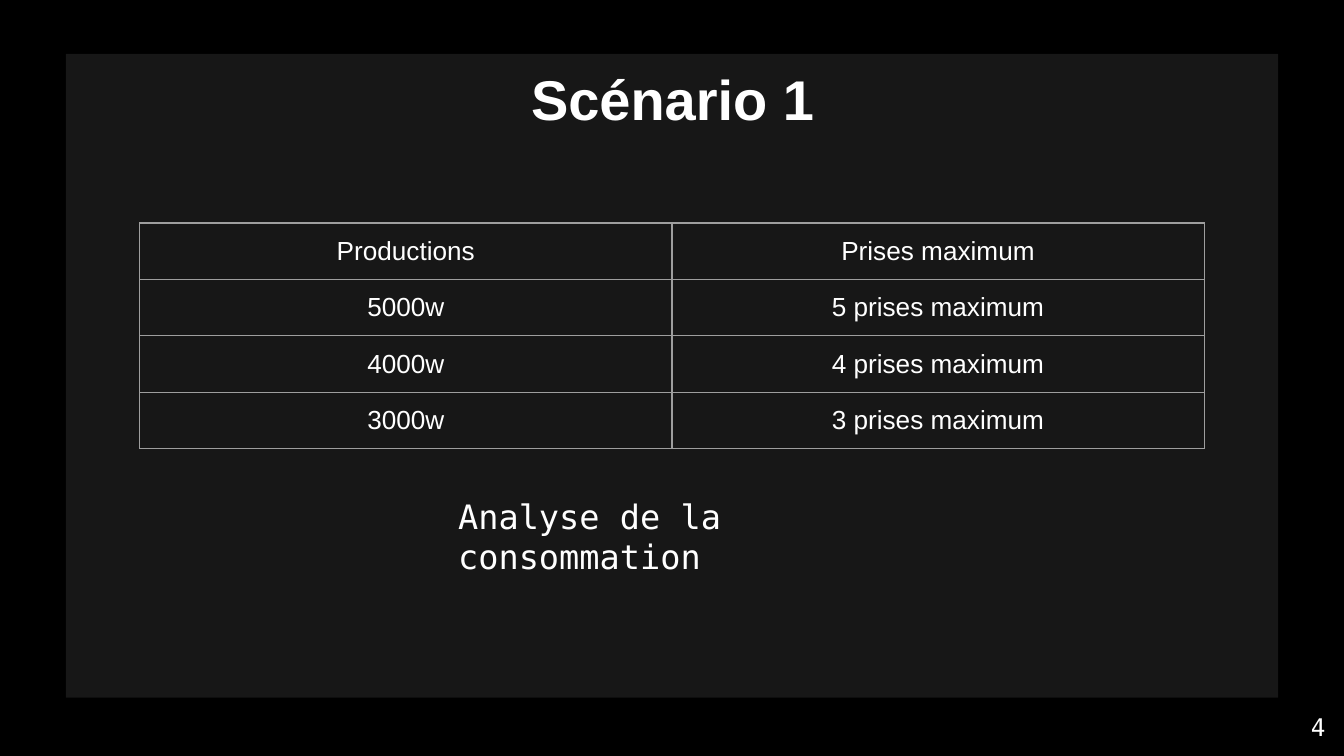
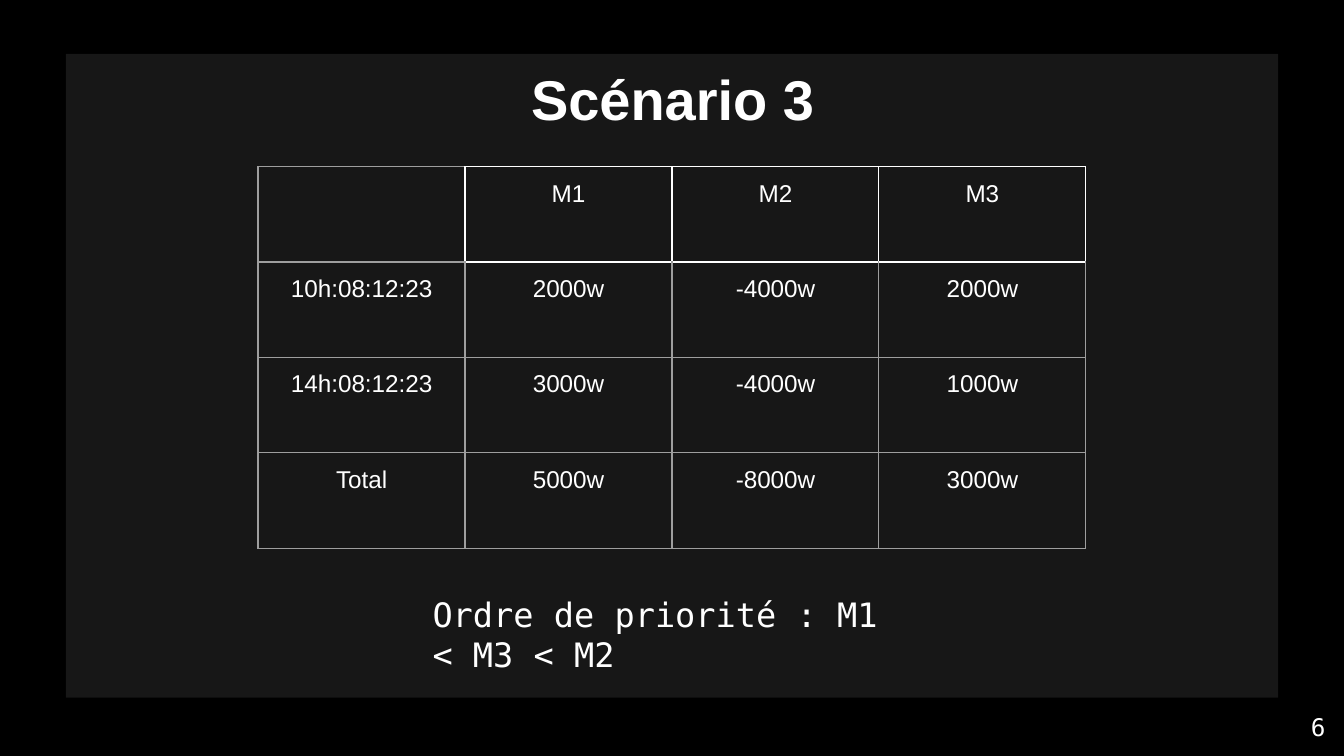
from lxml import etree
from pptx import Presentation
from pptx.dml.color import RGBColor
from pptx.enum.shapes import MSO_SHAPE
from pptx.enum.text import MSO_ANCHOR, MSO_AUTO_SIZE, PP_ALIGN
from pptx.oxml.ns import qn
from pptx.util import Inches, Pt

LEFT, CENTER, RIGHT = PP_ALIGN.LEFT, PP_ALIGN.CENTER, PP_ALIGN.RIGHT
TOP, MIDDLE = MSO_ANCHOR.TOP, MSO_ANCHOR.MIDDLE
RECTANGLE = MSO_SHAPE.RECTANGLE
NO_AUTOFIT = MSO_AUTO_SIZE.NONE

BLACK, PANEL, WHITE, GREY = "000000", "171717", "FFFFFF", "9E9E9E"
SANS, MONO = "Arial", "DejaVu Sans Mono"
INSET = Inches(0.1)

SCENARIOS = [
    {
        "title": "Scénario 1", "number": "4",
        "rows": [["Productions", "Prises maximum"],
                 ["5000w", "5 prises maximum"],
                 ["4000w", "4 prises maximum"],
                 ["3000w", "3 prises maximum"]],
        "corner": (1.04, 1.66), "cell": (3.96, 0.42),
        "size": 14, "heading_border": GREY,
        "conclusion": "Analyse de la consommation",
        "conclusion_at": (3.31, 3.59, 3.38, 0.55),
    },
    {
        "title": "Scénario 3", "number": "6",
        "rows": [["", "M1", "M2", "M3"],
                 ["10h:08:12:23", "2000w", "-4000w", "2000w"],
                 ["14h:08:12:23", "3000w", "-4000w", "1000w"],
                 ["Total", "5000w", "-8000w", "3000w"]],
        "corner": (1.92, 1.24), "cell": (1.54, 0.71),
        "size": 13, "heading_border": WHITE,
        "conclusion": "Ordre de priorité : M1 < M3 < M2",
        "conclusion_at": (3.12, 4.32, 3.77, 0.55),
    },
]


def write(frame, text, font, size, align, anchor=TOP, bold=False):
    frame.text = text
    frame.word_wrap = True
    frame.vertical_anchor = anchor
    frame.margin_left = frame.margin_right = INSET
    frame.margin_top = frame.margin_bottom = INSET
    paragraph = frame.paragraphs[0]
    paragraph.alignment = align
    for run in paragraph.runs:
        run.font.name = font
        run.font.size = Pt(size)
        run.font.bold = bold
        run.font.color.rgb = RGBColor.from_string(WHITE)


def add_border(cell, side, color):
    """Draw one cell edge; side is L, R, T or B, called in that order."""
    line = etree.SubElement(cell._tc.get_or_add_tcPr(), qn(f"a:ln{side}"), w=str(Pt(0.75)))
    fill = etree.SubElement(line, qn("a:solidFill"))
    etree.SubElement(fill, qn("a:srgbClr"), val=color)


prs = Presentation()
prs.slide_width = Inches(10)
prs.slide_height = prs.slide_width * 9 // 16
background = prs.slide_master.background.fill
background.solid()
background.fore_color.rgb = RGBColor.from_string(BLACK)
layout = prs.slide_layouts.get_by_name("Title Only")

for index, scenario in enumerate(SCENARIOS):
    slide = prs.slides.add_slide(layout)

    if index == 0:
        # The panel is drawn once, then moved to the layout both slides share.
        panel = slide.shapes.add_shape(
            RECTANGLE, Inches(0.49), Inches(0.4), Inches(9.02), Inches(4.79))
        panel.rotation = 180
        panel.shadow.inherit = False
        panel.fill.solid()
        panel.fill.fore_color.rgb = RGBColor.from_string(PANEL)
        panel.line.fill.background()
        layout.shapes.element.insert(2, panel.element)

    title = slide.shapes.title
    title.left, title.top = Inches(0.79), Inches(0.38)
    title.width, title.height = Inches(8.43), Inches(0.63)
    write(title.text_frame, scenario["title"], SANS, 30, CENTER, bold=True)
    title.text_frame.auto_size = NO_AUTOFIT

    number = slide.shapes.add_textbox(
        Inches(9.36), Inches(5.19), Inches(0.6), Inches(0.43))
    write(number.text_frame, scenario["number"], MONO, 13, RIGHT, MIDDLE)

    rows = scenario["rows"]
    column_count = len(rows[0])
    left, top = scenario["corner"]
    cell_width, cell_height = scenario["cell"]
    table = slide.shapes.add_table(
        len(rows), column_count, Inches(left), Inches(top),
        Inches(cell_width * column_count), Inches(cell_height * len(rows))).table
    table.first_row = table.horz_banding = False

    headings = [(0, c) for c in range(1, column_count)]
    for r, row in enumerate(rows):
        for c, value in enumerate(row):
            cell = table.cell(r, c)
            write(cell.text_frame, value, SANS, scenario["size"], CENTER)
            cell.margin_left = cell.margin_right = cell.margin_top = INSET
            cell.margin_bottom = Inches(0.08)  # keeps the text within the row height
            neighbours = {"L": (r, c - 1), "R": (r, c + 1), "T": (r - 1, c), "B": (r + 1, c)}
            for side, neighbour in neighbours.items():
                by_heading = (r, c) in headings or neighbour in headings
                add_border(cell, side, scenario["heading_border"] if by_heading else GREY)
            cell.fill.background()

    conclusion = slide.shapes.add_textbox(*map(Inches, scenario["conclusion_at"]))
    write(conclusion.text_frame, scenario["conclusion"], MONO, 18, LEFT)

prs.save("out.pptx")
